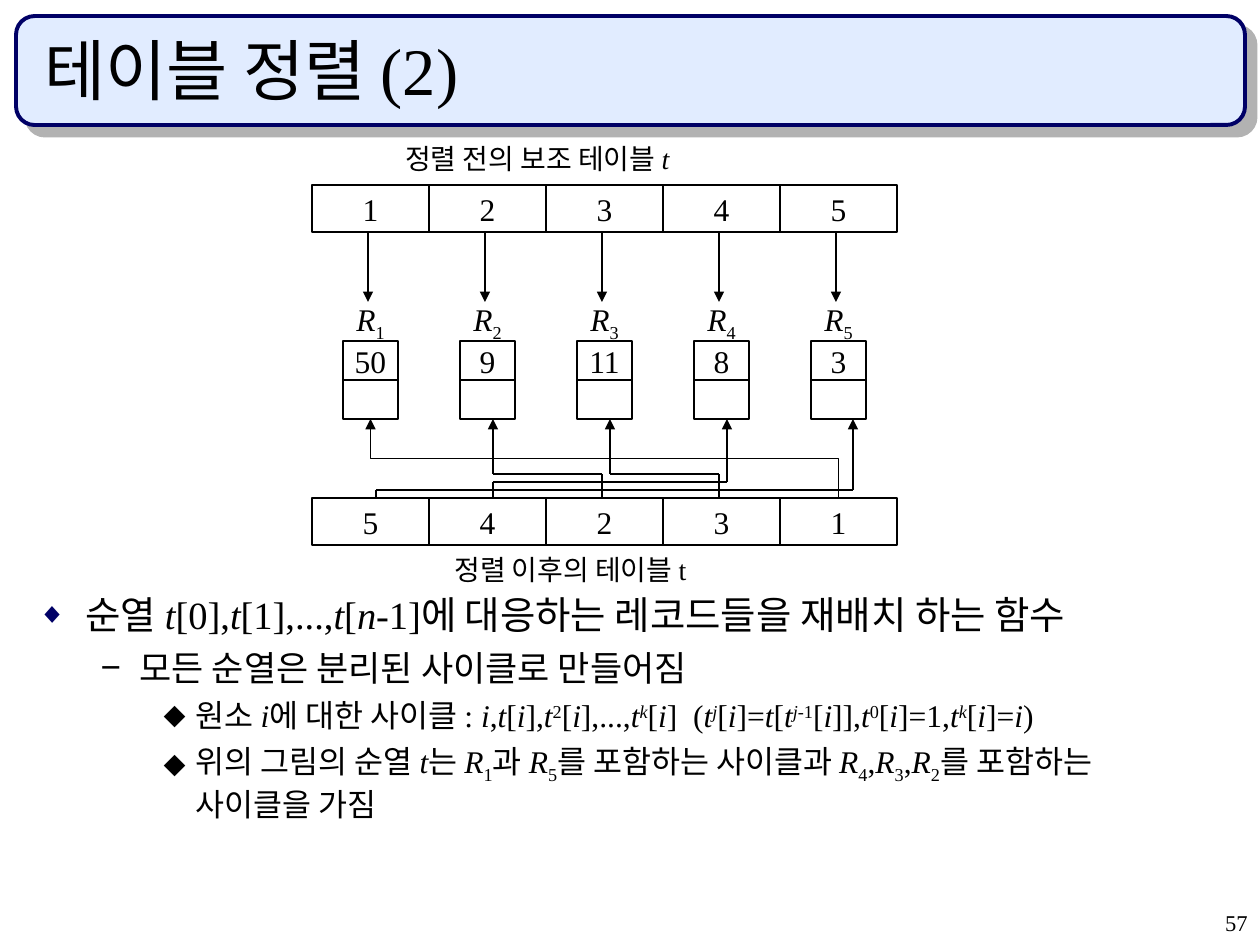
from dataclasses import dataclass
from itertools import pairwise

from lxml.etree import SubElement
from pptx import Presentation
from pptx.dml.color import RGBColor
from pptx.enum.shapes import MSO_CONNECTOR as Connector, MSO_SHAPE as Shape
from pptx.enum.text import MSO_ANCHOR as Anchor, MSO_AUTO_SIZE as AutoSize, PP_ALIGN as Align
from pptx.oxml.ns import qn
from pptx.util import Emu, Pt


@dataclass(frozen=True)
class Theme:
    font: str = "Times New Roman"
    ink: str = "000000"
    navy: str = "000066"
    header: str = "E1ECFF"
    shadow: str = "B2B2B2"
    title: float = 38
    levels: tuple = (22, 20, 18)
    cell: float = 18
    caption: float = 16
    number: float = 12.9
    thin: float = 0.75
    thick: float = 2.25


@dataclass(frozen=True)
class Box:
    x: int
    y: int
    width: int
    height: int


THEME = Theme()
SCALE = 914400 / 126
COLUMN = 117
ROW_HEIGHT = 47
RECORD_WIDTH = 55
RECORD_HEIGHT = 39
BEFORE = ("1", "2", "3", "4", "5")
AFTER = ("5", "4", "2", "3", "1")
KEYS = ("50", "9", "11", "8", "3")
ROUTES = ((3, 56, 2, 64, 289), (2, 56, 1, 64, 289), (0, 64, 4, 73, 305), (1, 64, 3, 64, 297))
BULLETS = (("◆", THEME.navy, 75, 48, -48), ("−", THEME.ink, 100, 102, -39), ("⬥", THEME.ink, 100, 158, -32))
POINTS = (
    (0, 0, "순열 _t_[0],_t_[1],...,_t_[_n_-1]에 대응하는 레코드들을 재배치 하는 함수"),
    (1, 5, "모든 순열은 분리된 사이클로 만들어짐"),
    (2, 4.5, "원소 _i_에 대한 사이클 : _i_,_t_[_i_],_t_^2^[_i_],...,_t^k_^[_i_]  "
             "(_t^j_^[_i_]=_t_[_t^j_-1^[_i_]],_t_^0^[_i_]=1,_t^k_^[_i_]=_i_)"),
    (2, 4.5, "위의 그림의 순열 _t_는 _R_~1~과 _R_~5~를 포함하는 사이클과 "
             "_R_~4~,_R_~3~,_R_~2~를 포함하는 사이클을 가짐"),
)


def px(length):
    return Emu(round(length * SCALE))


def place(shape, box):
    shape.left, shape.top, shape.width, shape.height = map(px, (box.x, box.y, box.width, box.height))


def add_run(paragraph, text, size, italic, baseline):
    run = paragraph.add_run()
    run.text = text
    run.font.name = THEME.font
    run.font.size = Pt(size)
    run.font.color.rgb = RGBColor.from_string(THEME.ink)
    run.font.italic = italic
    if baseline:
        run._r.get_or_add_rPr().set("baseline", str(baseline))


def add_runs(paragraph, markup, size):
    baselines = {"^": 30000, "~": -25000}
    text, italic, baseline = "", False, 0
    for letter in markup:
        if letter != "_" and letter not in baselines:
            text += letter
            continue
        if text:
            add_run(paragraph, text, size, italic, baseline)
            text = ""
        if letter == "_":
            italic = not italic
        else:
            baseline = 0 if baseline else baselines[letter]
    if text:
        add_run(paragraph, text, size, italic, baseline)


def add_text(slide, box, markup, size, align=Align.LEFT, anchor=Anchor.TOP, wrap=True):
    shape = slide.shapes.add_textbox(0, 0, 0, 0)
    place(shape, box)
    write_text(shape, markup, size, align, anchor, wrap)
    return shape


def write_text(shape, markup, size, align, anchor, wrap):
    frame = shape.text_frame
    frame.word_wrap = wrap
    frame.auto_size = AutoSize.NONE
    frame.vertical_anchor = anchor
    frame.paragraphs[0].alignment = align
    add_runs(frame.paragraphs[0], markup, size)


def add_cell(slide, box, text=""):
    shape = slide.shapes.add_shape(Shape.RECTANGLE, 0, 0, 0, 0)
    place(shape, box)
    shape.shadow.inherit = False
    shape.fill.background()
    style_line(shape)
    if text:
        write_text(shape, text, THEME.cell, Align.CENTER, Anchor.MIDDLE, False)
    return shape


def style_line(shape):
    shape.line.color.rgb = RGBColor.from_string(THEME.ink)
    shape.line.width = Pt(THEME.thin)


def add_line(slide, start, end, arrow, kind=Connector.STRAIGHT):
    line = slide.shapes.add_connector(kind, *map(px, (*start, *end)))
    style_line(line)
    if arrow:
        SubElement(line.line._get_or_add_ln(), qn("a:tailEnd"), type="triangle")
    SubElement(line._element.spPr, qn("a:effectLst"))
    return line


def add_route(slide, points):
    for start, end in pairwise(points):
        add_line(slide, start, end, end == points[-1])


def add_vertical_elbow(slide, source, target, start, end):
    line = add_line(slide, start, end, True, Connector.ELBOW)
    line.begin_connect(source, 0)
    line.end_connect(target, 2)
    width, height = start[1] - end[1], start[0] - end[0]
    middle_x, middle_y = (start[0] + end[0]) / 2, (start[1] + end[1]) / 2
    place(line, Box(middle_x - width / 2, middle_y - height / 2, width, height))
    frame = line._element.spPr.find(qn("a:xfrm"))
    for name, value in (("rot", "16200000"), ("flipH", "0"), ("flipV", "1")):
        frame.set(name, value)


def add_header(slide, box):
    banner = slide.shapes.add_shape(Shape.ROUNDED_RECTANGLE, 0, 0, 0, 0)
    place(banner, box)
    banner.adjustments[0] = 0.17
    banner.fill.solid()
    banner.fill.fore_color.rgb = RGBColor.from_string(THEME.header)
    banner.line.color.rgb = RGBColor.from_string(THEME.navy)
    banner.line.width = Pt(THEME.thick)
    effects = SubElement(banner._element.spPr, qn("a:effectLst"))
    shadow = SubElement(effects, qn("a:outerShdw"), dist=str(Pt(8.5)), dir="2700000", algn="ctr", rotWithShape="0")
    SubElement(shadow, qn("a:srgbClr"), val=THEME.shadow)
    slide.shapes._spTree.insert(2, banner._element)
    title = slide.shapes.title
    place(title, Box(box.x + 16, box.y + 16, box.width - 42, box.height - 26))
    write_text(title, "테이블 정렬 (2)", THEME.title, Align.LEFT, Anchor.BOTTOM, True)


def add_table_row(slide, box, values):
    return [add_cell(slide, Box(box.x + COLUMN * index, box.y, COLUMN, box.height), value)
            for index, value in enumerate(values)]


def add_record(slide, box, name, key):
    label, top, bottom = (Box(box.x, box.y + RECORD_HEIGHT * row, box.width, RECORD_HEIGHT) for row in range(3))
    add_text(slide, label, name, THEME.cell, Align.CENTER, Anchor.MIDDLE, False)
    add_cell(slide, top, key)
    return add_cell(slide, bottom)


def add_diagram(slide, box):
    after_top = box.y + box.height - ROW_HEIGHT
    records_top = box.y + 117
    records_bottom = records_top + 3 * RECORD_HEIGHT
    columns = [box.x + COLUMN * index for index in range(len(KEYS))]
    add_table_row(slide, Box(box.x, box.y, box.width, ROW_HEIGHT), BEFORE)
    after = add_table_row(slide, Box(box.x, after_top, box.width, ROW_HEIGHT), AFTER)
    records = []
    for number, (left, key) in enumerate(zip(columns, KEYS), 1):
        record = Box(left + 31, records_top, RECORD_WIDTH, 3 * RECORD_HEIGHT)
        records.append(add_record(slide, record, f"_R_~{number}~", key))
        add_line(slide, (left + 56, box.y + ROW_HEIGHT), (left + 56, records_top), True)
    for source, source_shift, target, target_shift, bend in ROUTES:
        start, end = columns[source] + source_shift, columns[target] + target_shift
        add_route(slide, [(start, after_top), (start, box.y + bend), (end, box.y + bend), (end, records_bottom)])
    add_vertical_elbow(slide, after[-1], records[0],
                       (columns[-1] + COLUMN / 2, after_top), (columns[0] + COLUMN / 2, records_bottom))
    add_text(slide, Box(box.x + 81, box.y - 50, 389, 47), "정렬 전의 보조 테이블 _t_", THEME.caption)
    add_text(slide, Box(box.x + 130, box.y + box.height + 1, 357, 47), "정렬 이후의 테이블 t", THEME.caption)


def add_points(slide, box):
    body = slide.placeholders[1]
    place(body, box)
    frame = body.text_frame
    frame.auto_size = AutoSize.NONE
    for index, (level, space, markup) in enumerate(POINTS):
        paragraph = frame.add_paragraph() if index else frame.paragraphs[0]
        paragraph.level = level
        paragraph.space_before = Pt(space)
        symbol, color, percent, margin, indent = BULLETS[level]
        properties = paragraph._p.get_or_add_pPr()
        properties.set("marL", str(px(margin)))
        properties.set("indent", str(px(indent)))
        SubElement(SubElement(properties, qn("a:buClr")), qn("a:srgbClr"), val=color)
        SubElement(properties, qn("a:buSzPct"), val=str(percent * 1000))
        SubElement(properties, qn("a:buChar"), char=symbol)
        add_runs(paragraph, markup, THEME.levels[level])


def main():
    presentation = Presentation()
    presentation.slide_width, presentation.slide_height = px(1260), px(945)
    slide = presentation.slides.add_slide(presentation.slide_layouts[1])
    add_header(slide, Box(16, 16, 1229, 109))
    add_diagram(slide, Box(312, 185, 585, 360))
    add_points(slide, Box(25, 585, 1187, 244))
    add_text(slide, Box(998, 903, 262, 42), "57", THEME.number, Align.RIGHT)
    presentation.save("out.pptx")


if __name__ == "__main__":
    main()
